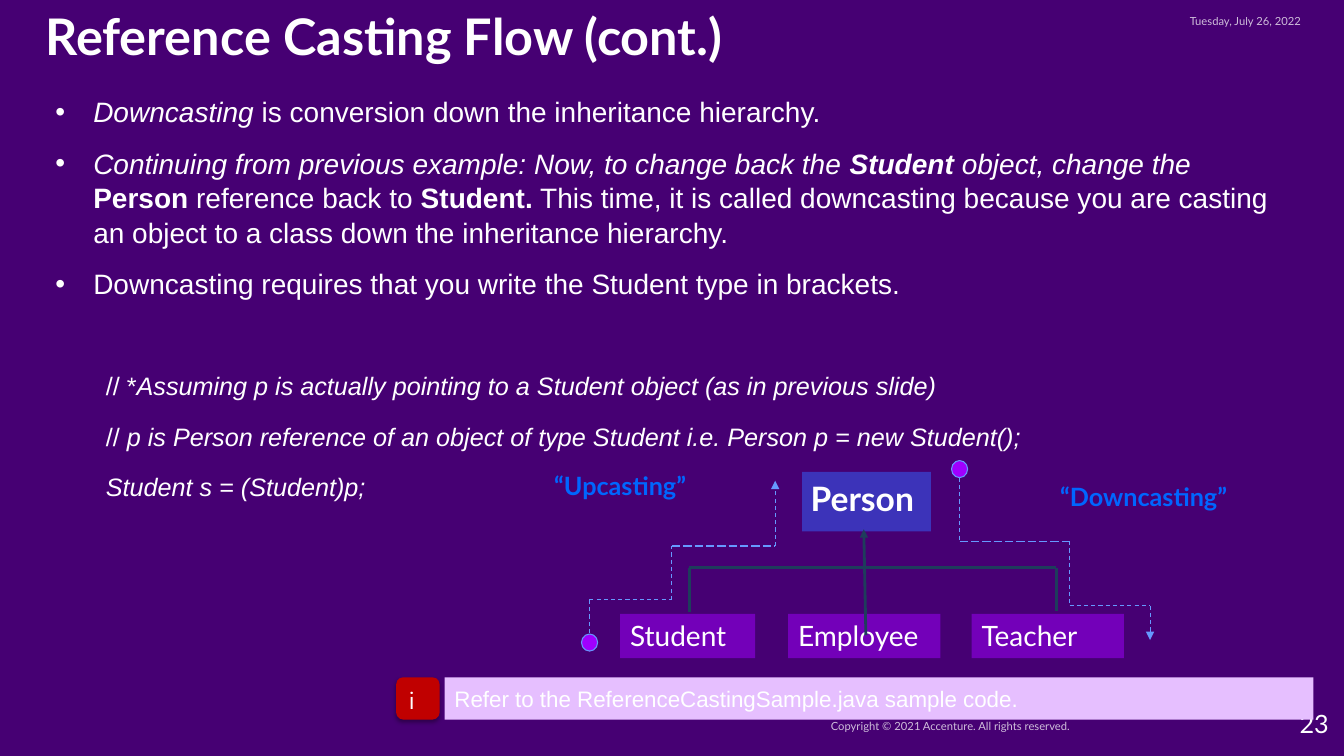
"""Build the slide on downcasting in the Reference Casting Flow lesson."""
import dataclasses
import itertools
import typing

import pptx
import pptx.dml.color
import pptx.enum.dml
import pptx.enum.shapes
import pptx.enum.text
import pptx.oxml
import pptx.oxml.ns
import pptx.util

Pt = pptx.util.Pt
Anchor = pptx.enum.text.MSO_ANCHOR
Align = pptx.enum.text.PP_ALIGN
Preset = pptx.enum.shapes.MSO_SHAPE
Dash = pptx.enum.dml.MSO_LINE
Point = typing.Tuple[float, float]

COLORS = {
    "background": "460073", "text": "FFFFFF", "person": "3366FF", "purple": "A100FF",
    "label": "0066FF", "path": "6699FF", "tree": "1E3D5C", "note": "E6BFFF", "button": "C00000",
}


@dataclasses.dataclass
class Box:
    """A text box, or a filled preset shape with text."""
    text: str
    left: float
    top: float
    width: float
    height: float
    size: float
    font: str = "Lato"
    color: str = "text"
    bold: bool = False
    fill: str = ""
    fill_alpha: int = 100
    text_alpha: int = 100
    preset: Preset = Preset.RECTANGLE
    align: Align = Align.LEFT
    anchor: Anchor = Anchor.TOP
    margins: Point = (7.2, 3.6)


@dataclasses.dataclass
class CastingPath:
    """A dashed staircase that starts at a dot and ends in an arrowhead."""
    dot: Point
    corners: typing.List[Point]
    long_dash_index: int


class Run(typing.NamedTuple):
    """A piece of body text with its emphasis."""
    text: str
    italic: bool = False
    bold: bool = False


class Item(typing.NamedTuple):
    """A body paragraph, either a bullet or a line of code."""
    runs: typing.List[Run]
    code: bool = False
    space_before: float = 0


ITEMS = [
    Item([Run("Downcasting ", True), Run("is conversion down the inheritance hierarchy.")]),
    Item([Run("Continuing from previous example: Now, to change back the ", True),
          Run("Student", True, True), Run(" object, change the ", True),
          Run("Person ", bold=True), Run("reference back to "), Run("Student.", bold=True),
          Run(" This time, it is called downcasting because you are casting an object to a "
              "class down the inheritance hierarchy.")]),
    Item([Run("Downcasting requires that you write the Student type in brackets.")]),
    Item([Run("// *"), Run("Assuming p is actually pointing to a Student object "
                           "(as in previous slide)", True)], True, 37.4),
    Item([Run("//"), Run(" p is Person reference of an object of type Student i.e. "
                         "Person p = new Student();", True)], True, 1.9),
    Item([Run("Student s = (Student)p;", True)], True, 1.9),
]
FOOTER = {"size": 8, "text_alpha": 75, "align": Align.RIGHT, "anchor": Anchor.MIDDLE,
          "margins": (0, 0)}
NODE = {"top": 438.5, "height": 31.7, "size": 20, "fill": "purple", "fill_alpha": 50}
LABEL = {"height": 28.8, "size": 18, "color": "label", "bold": True}
BOXES = [
    Box("Copyright © 2021 Accenture. All rights reserved.", 519.8, 510.5, 244.8, 15.8, **FOOTER),
    Box("Tuesday, July 26, 2022", 770.4, 0, 159, 30.2, **FOOTER),
    Box("23", 823, 509.8, 133.2, 21.6, 18, align=Align.RIGHT, anchor=Anchor.BOTTOM),
    Box("Person", 573, 337, 92, 42.5, 24, bold=True, fill="person", fill_alpha=50,
        margins=(6, 4.3)),
    Box("Student", left=443, width=96.5, **NODE),
    Box("Employee", left=563, width=108.7, **NODE),
    Box("Teacher", left=694, width=108.7, **NODE),
    Box("“Upcasting”", left=388.8, top=332.6, width=131, **LABEL),
    Box("“Downcasting”", left=750.2, top=340.6, width=149.8, **LABEL),
    Box("Refer to the ReferenceCastingSample.java sample code.", 317.5, 483.8, 620.6, 30.2, 16,
        "Arial", fill="note", anchor=Anchor.MIDDLE),
]
BUTTON = Box("i", 283, 483.8, 31, 30.2, 18, "Karla", fill="button",
             preset=Preset.ROUNDED_RECTANGLE)
PATHS = [
    CastingPath((415.4, 452.9), [(421, 452.2), (421, 428.5), (480, 428.5), (480, 390),
                                 (553.7, 390), (553.7, 343.4)], 3),
    CastingPath((679.7, 329), [(685.5, 341.3), (685.5, 386.6), (764, 386.6), (764, 432.7),
                               (821.5, 432.7), (821.5, 457.2)], 1),
]
TREE_ARROW = ((618.5, 453.6), (617, 378))
TREE_BRANCHES = [(492.5, 437), (492.5, 405.4), (754.6, 405.4), (754.6, 436.5)]


def rgb(name: str) -> pptx.dml.color.RGBColor:
    """Return the named colour."""
    return pptx.dml.color.RGBColor.from_string(COLORS[name])


def add_xml(parent: typing.Any, xml: str) -> None:
    """Append a drawing element, given as its name, attributes and content."""
    namespace = pptx.oxml.ns.nsdecls("a")
    name, separator, rest = xml.partition(" ")
    parent.append(pptx.oxml.parse_xml(f"<{name} {namespace}{separator}{rest}"))


def set_alpha(element: typing.Any, percent: int) -> None:
    """Make the colours inside an element partly transparent."""
    if percent < 100:
        for color in element.xpath(".//a:srgbClr"):
            add_xml(color, f'a:alpha val="{percent * 1000}"/>')


def format_frame(frame: typing.Any, anchor: Anchor, margins: Point) -> None:
    """Set wrapping, anchoring and margins of a text frame."""
    frame.word_wrap = True
    frame.auto_size = pptx.enum.text.MSO_AUTO_SIZE.NONE
    frame.vertical_anchor = anchor
    frame.margin_left = frame.margin_right = Pt(margins[0])
    frame.margin_top = frame.margin_bottom = Pt(margins[1])


def format_run(run: typing.Any, font: str, size: float, color: str = "text",
               bold: bool = False, italic: bool = False) -> None:
    """Set the font of a run."""
    run.font.name, run.font.size = font, Pt(size)
    run.font.bold, run.font.italic = bold, italic
    run.font.color.rgb = rgb(color)


def place(shape: typing.Any, left: float, top: float, width: float, height: float) -> None:
    """Move and size a shape."""
    shape.left, shape.top, shape.width, shape.height = map(Pt, (left, top, width, height))


def add_box(slide: typing.Any, box: Box) -> typing.Any:
    """Draw a box and return its shape."""
    frame = tuple(map(Pt, (box.left, box.top, box.width, box.height)))
    if box.fill:
        shape = slide.shapes.add_shape(box.preset, *frame)
        shape.shadow.inherit = False
        shape.fill.solid()
        shape.fill.fore_color.rgb = rgb(box.fill)
        shape.line.fill.background()
        set_alpha(shape.element.spPr, box.fill_alpha)
    else:
        shape = slide.shapes.add_textbox(*frame)
    shape.text_frame.text = box.text
    format_frame(shape.text_frame, box.anchor, box.margins)
    paragraph = shape.text_frame.paragraphs[0]
    paragraph.alignment = box.align
    format_run(paragraph.runs[0], box.font, box.size, box.color, box.bold)
    set_alpha(shape.element.txBody, box.text_alpha)
    return shape


def add_line(slide: typing.Any, start: Point, end: Point, color: str, width: float,
             dash: typing.Optional[Dash] = None, arrow: bool = False) -> None:
    """Draw a straight line, with an arrowhead at its end if asked."""
    connector = slide.shapes.add_connector(
        pptx.enum.shapes.MSO_CONNECTOR.STRAIGHT, *map(Pt, start + end))
    connector.line.color.rgb = rgb(color)
    connector.line.width = Pt(width)
    if dash:
        connector.line.dash_style = dash
    if arrow:
        add_xml(connector.line._get_or_add_ln(), 'a:tailEnd type="triangle"/>')
    add_xml(connector.element.spPr, "a:effectLst />")


def add_casting_path(slide: typing.Any, path: CastingPath) -> None:
    """Draw a dot and the staircase that leaves it."""
    dot = slide.shapes.add_shape(Preset.OVAL, *map(Pt, path.dot + (11.5, 12.2)))
    dot.shadow.inherit = False
    dot.fill.solid()
    dot.fill.fore_color.rgb = rgb("purple")
    dot.line.color.rgb = rgb("path")
    dot.line.width = Pt(0.75)
    last = len(path.corners) - 2
    for index, (start, end) in enumerate(zip(path.corners, path.corners[1:])):
        dash = Dash.LONG_DASH if index == path.long_dash_index else Dash.DASH
        add_line(slide, start, end, "path", 0.75, dash, index == last)


def fill_title(title: typing.Any) -> None:
    """Write the title placeholder."""
    place(title, 32.4, 12.2, 599, 78.5)
    title.text_frame.text = "Reference Casting Flow (cont.)"
    format_frame(title.text_frame, Anchor.TOP, (0, 0))
    paragraph = title.text_frame.paragraphs[0]
    paragraph.alignment, paragraph.line_spacing = Align.LEFT, 0.8
    format_run(paragraph.runs[0], "Lato", 36, bold=True)


def fill_body(body: typing.Any) -> None:
    """Write the bullets and code lines in the body placeholder."""
    place(body, 32.4, 63.4, 895.7, 189.4)
    frame = body.text_frame
    format_frame(frame, Anchor.TOP, (7.2, 3.6))
    for index, item in enumerate(ITEMS):
        paragraph = frame.add_paragraph() if index else frame.paragraphs[0]
        properties = paragraph._p.get_or_add_pPr()
        left, indent = (54, -18) if item.code else (27, -27)
        properties.set("marL", str(Pt(left)))
        properties.set("indent", str(Pt(indent)))
        add_xml(properties, "a:buNone />" if item.code else 'a:buChar char="•"/>')
        paragraph.level = 2 if item.code else 0
        paragraph.line_spacing = 1.03
        paragraph.space_before, paragraph.space_after = Pt(item.space_before), Pt(12)
        for piece in item.runs:
            run = paragraph.add_run()
            run.text = piece.text
            format_run(run, "Arial", 18 if item.code else 20, "text", piece.bold, piece.italic)


def main() -> None:
    """Build and save the presentation."""
    presentation = pptx.Presentation()
    presentation.slide_width, presentation.slide_height = Pt(960), Pt(540)
    slide = presentation.slides.add_slide(presentation.slide_layouts[1])
    slide.background.fill.solid()
    slide.background.fill.fore_color.rgb = rgb("background")
    fill_title(slide.shapes.title)
    fill_body(slide.placeholders[1])
    for box in BOXES:
        add_box(slide, box)
    button = add_box(slide, BUTTON)
    add_xml(button.element.spPr.xpath("a:effectLst")[0],
            f'a:outerShdw blurRad="{Pt(3.1)}" dist="{Pt(1.8)}" dir="5400000">'
            '<a:srgbClr val="000000"><a:alpha val="35000"/></a:srgbClr></a:outerShdw>')
    for path in PATHS:
        add_casting_path(slide, path)
    add_line(slide, *TREE_ARROW, "tree", 2, arrow=True)
    for start, end in itertools.pairwise(TREE_BRANCHES):
        add_line(slide, start, end, "tree", 2)
    presentation.save("out.pptx")


if __name__ == "__main__":
    main()
